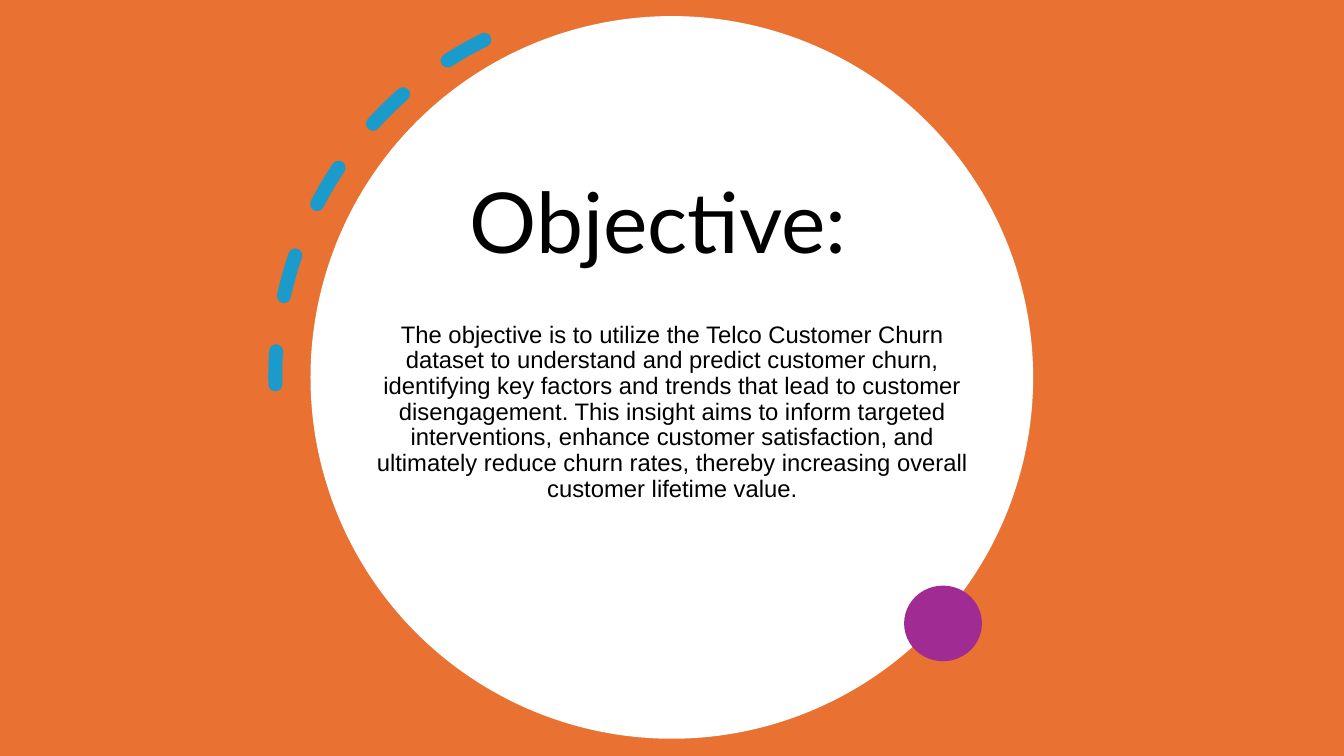
from dataclasses import dataclass

import pptx
import pptx.dml.color
import pptx.enum.dml
import pptx.enum.shapes
import pptx.enum.text
import pptx.oxml
import pptx.oxml.ns
import pptx.util

Pt = pptx.util.Pt
SHAPE = pptx.enum.shapes.MSO_SHAPE
ANCHOR = pptx.enum.text.MSO_ANCHOR

ORANGE, WHITE, BLACK = "E97132", "FFFFFF", "000000"
BLUE, PURPLE = "0F9ED5", "A02B93"


@dataclass(frozen=True)
class Box:
    left: float
    top: float
    width: float
    height: float


@dataclass(frozen=True)
class Filled:
    preset: SHAPE
    box: Box
    color: str


@dataclass(frozen=True)
class Label:
    text: str
    box: Box
    font: str
    size: float
    anchor: ANCHOR
    space_before: float = 0


BACKDROP = [
    Filled(SHAPE.RECTANGLE, Box(0, 0, 960, 540), ORANGE),
    Filled(SHAPE.OVAL, Box(221.8, 11.5, 516.2, 516.2), WHITE),
]
DOT = Filled(SHAPE.OVAL, Box(645.8, 418.3, 55.6, 54), PURPLE)
ARC_BOX = Box(196.6, 0.7, 536.4, 536.4)

HEADING = Label("Objective:", Box(251.3, 0, 437.8, 198), "Lato", 60, ANCHOR.BOTTOM)
STATEMENT = Label(
    "The objective is to utilize the Telco Customer Churn dataset to understand "
    "and predict customer churn, identifying key factors and trends that lead to "
    "customer disengagement. This insight aims to inform targeted interventions, "
    "enhance customer satisfaction, and ultimately reduce churn rates, thereby "
    "increasing overall customer lifetime value.",
    Box(261.4, 226.8, 437.8, 121), "Arial", 17, ANCHOR.TOP, 10,
)


def rgb(color: str) -> pptx.dml.color.RGBColor:
    return pptx.dml.color.RGBColor.from_string(color)


def place(sp, box: Box) -> None:
    sp.left, sp.top = Pt(box.left), Pt(box.top)
    sp.width, sp.height = Pt(box.width), Pt(box.height)


def add_preset(s, preset: SHAPE, box: Box):
    sp = s.shapes.add_shape(
        preset, Pt(box.left), Pt(box.top), Pt(box.width), Pt(box.height)
    )
    sp.shadow.inherit = False
    return sp


def add_filled(s, item: Filled) -> None:
    sp = add_preset(s, item.preset, item.box)
    sp.fill.solid()
    sp.fill.fore_color.rgb = rgb(item.color)
    sp.line.fill.background()


def add_dashed_arc(s, box: Box) -> None:
    sp = add_preset(s, SHAPE.ARC, box)
    sp.adjustments[0] = 162
    sp.adjustments[1] = 200.931
    sp.rotation = 153.7
    sp.fill.background()
    sp.line.color.rgb = rgb(BLUE)
    sp.line.width = Pt(10)
    sp.line.dash_style = pptx.enum.dml.MSO_LINE.DASH
    qn = pptx.oxml.ns.qn
    sp_pr = sp._element.spPr
    sp_pr.find(qn("a:xfrm")).set("flipV", "1")
    ln = sp_pr.find(qn("a:ln"))
    ln.set("cap", "rnd")
    alpha = pptx.oxml.parse_xml(
        f'<a:alpha {pptx.oxml.ns.nsdecls("a")} val="95000"/>'
    )
    ln.find(".//" + qn("a:srgbClr")).append(alpha)


def write(sp, label: Label) -> None:
    place(sp, label.box)
    tf = sp.text_frame
    tf.word_wrap = True
    tf.auto_size = pptx.enum.text.MSO_AUTO_SIZE.NONE
    tf.vertical_anchor = label.anchor
    p = tf.paragraphs[0]
    p.alignment = pptx.enum.text.PP_ALIGN.CENTER
    p.line_spacing = 0.9
    p.space_before = Pt(label.space_before)
    r = p.add_run()
    r.text = label.text
    r.font.name = label.font
    r.font.size = Pt(label.size)
    r.font.color.rgb = rgb(BLACK)


def main() -> None:
    prs = pptx.Presentation()
    prs.slide_width, prs.slide_height = Pt(960), Pt(540)
    s = prs.slides.add_slide(prs.slide_layouts.get_by_name("Title Only"))
    for item in BACKDROP:
        add_filled(s, item)
    title = s.shapes.title
    s.shapes._spTree.append(title._element)
    write(title, HEADING)
    write(s.shapes.add_textbox(0, 0, 0, 0), STATEMENT)
    add_dashed_arc(s, ARC_BOX)
    add_filled(s, DOT)
    prs.save("out.pptx")


if __name__ == "__main__":
    main()
